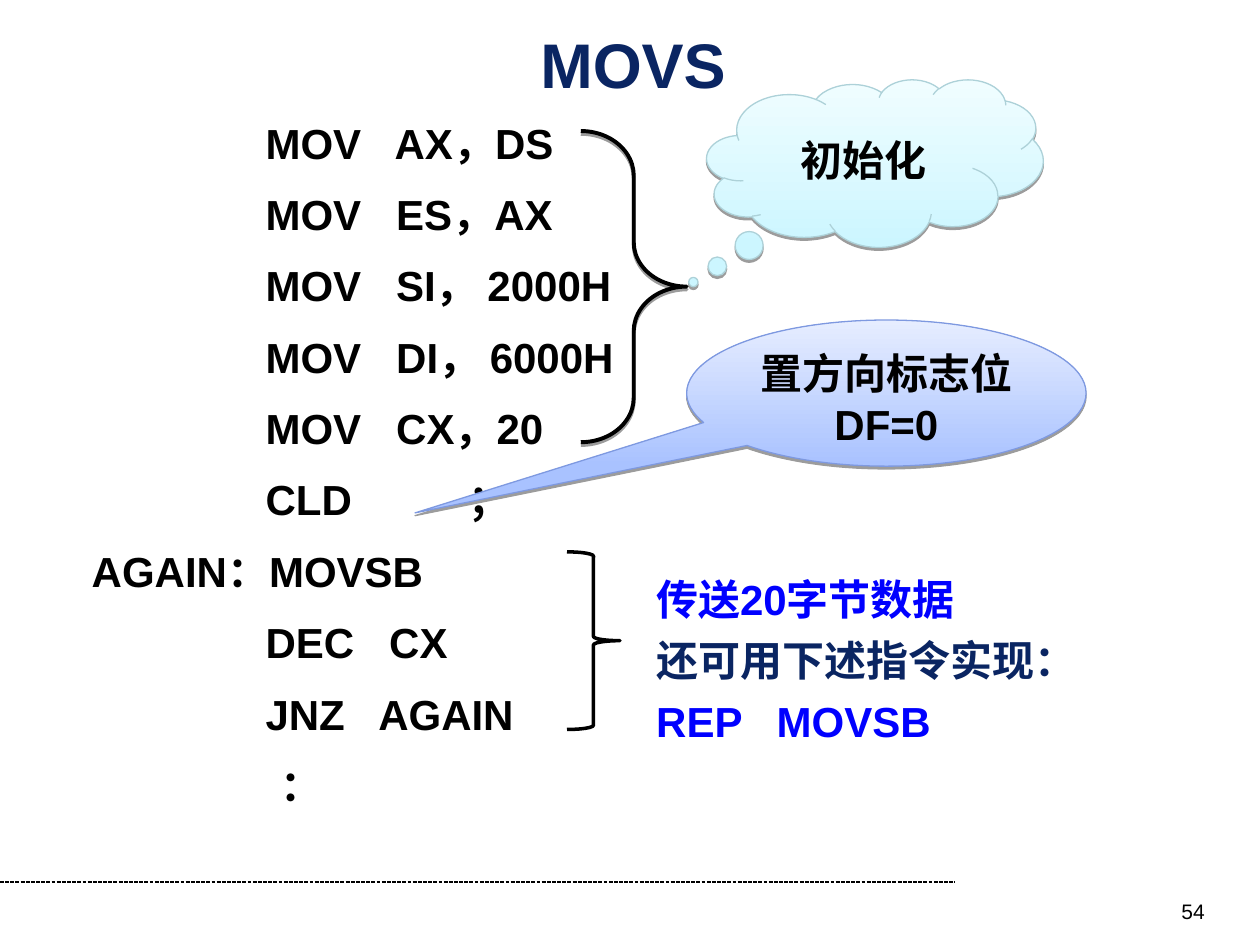
from dataclasses import dataclass

from lxml import etree
from pptx import Presentation
from pptx import util as u
from pptx.dml.color import RGBColor
from pptx.enum import dml, shapes, text
from pptx.oxml.ns import qn

Inches, Pt = u.Inches, u.Pt


@dataclass(frozen=True)
class Theme:
    font: str = "Arial"
    navy: str = "0A2562"
    blue: str = "0000FF"
    black: str = "000000"
    cloud: tuple = ("CCF6FF", "F0FDFF", "ADD1D8")  # bottom, top, outline
    bubble: tuple = ("A9C2FF", "E6EDFF", "7E99E0")
    title_size: float = 36
    body_size: float = 24
    number_size: float = 12
    line_pitch: float = 28.8


T = Theme()
INDENT = 1.38

# Code lines with their left indent in inches
CODE = [
    ("MOV   AX，DS", INDENT),
    ("MOV   ES，AX", INDENT),
    ("MOV   SI， 2000H", INDENT),
    ("MOV   DI， 6000H", INDENT),
    ("MOV   CX，20", INDENT),
    ("CLD          ；", INDENT),
    ("AGAIN：MOVSB", 0),
    ("DEC   CX", INDENT),
    ("JNZ   AGAIN", INDENT),
    ("：", 1.5),
]
NOTES = [
    ("传送20字节数据", T.blue),
    ("还可用下述指令实现：", T.navy),
    ("REP   MOVSB", T.blue),
]


def rgb(value):
    return RGBColor.from_string(value)


def inches(box):
    return [Inches(v) for v in box]


def style(p, size, color, bold=True, align=text.PP_ALIGN.LEFT):
    p.alignment = align
    for r in p.runs:
        r.font.name = T.font
        r.font.size = Pt(size)
        r.font.bold = bold
        r.font.color.rgb = rgb(color)


def add_lines(slide, box, lines, gap):
    """Text box with one paragraph per (words, colour, indent)."""
    tf = slide.shapes.add_textbox(*inches(box)).text_frame
    tf.word_wrap = True
    for i, (words, color, indent) in enumerate(lines):
        p = tf.paragraphs[0] if i == 0 else tf.add_paragraph()
        p.text = words
        p.line_spacing = Pt(T.line_pitch)
        if i:
            p.space_before = Pt(gap)
        if indent:
            pPr = p._p.get_or_add_pPr()
            pPr.set("marL", str(Inches(indent)))
            pPr.set("indent", "0")
        style(p, T.body_size, color)


def add_shadow(sp):
    effects = sp._element.spPr.find(qn("a:effectLst"))
    shadow = etree.SubElement(effects, qn("a:outerShdw"), blurRad="0",
                              dist=str(Pt(1.6)), dir="5400000", rotWithShape="0")
    color = etree.SubElement(shadow, qn("a:srgbClr"), val=T.black)
    etree.SubElement(color, qn("a:alpha"), val="38000")


def add_brace(slide, box, curve, width, shadow=False):
    sp = slide.shapes.add_shape(shapes.MSO_SHAPE.RIGHT_BRACE, *inches(box))
    sp.adjustments[0] = curve
    sp.fill.background()
    sp.line.color.rgb = rgb(T.black)
    sp.line.width = Pt(width)
    sp.shadow.inherit = False
    if shadow:
        add_shadow(sp)


def add_callout(slide, box, kind, tip, colors, words, anchor):
    sp = slide.shapes.add_shape(kind, *inches(box))
    sp.adjustments[0], sp.adjustments[1] = tip
    bottom, top, outline = colors
    sp.fill.gradient()
    sp.fill.gradient_angle = 90
    for stop, color in zip(sp.fill.gradient_stops, (bottom, top)):
        stop.color.rgb = rgb(color)
    sp.line.color.rgb = rgb(outline)
    sp.line.width = Pt(0.75)
    sp.shadow.inherit = False
    add_shadow(sp)
    tf = sp.text_frame
    tf.word_wrap = True
    tf.vertical_anchor = anchor
    tf.text = words
    style(tf.paragraphs[0], T.body_size, T.black, align=text.PP_ALIGN.CENTER)


def add_title(slide, box, words):
    sp = slide.shapes.title
    sp.left, sp.top, sp.width, sp.height = inches(box)
    tf = sp.text_frame
    tf.text = words
    tf.vertical_anchor = text.MSO_ANCHOR.MIDDLE
    tf.margin_left = tf.margin_right = tf.margin_top = tf.margin_bottom = 0
    style(tf.paragraphs[0], T.title_size, T.navy, align=text.PP_ALIGN.CENTER)


def add_footer(slide, box, number):
    left, top, width, height = box
    rule = slide.shapes.add_connector(shapes.MSO_CONNECTOR.STRAIGHT,
                                      *inches((left, top, 7.58, top)))
    rule.line.color.rgb = rgb(T.black)
    rule.line.width = Pt(0.75)
    rule.line.dash_style = dml.MSO_LINE.SQUARE_DOT
    etree.SubElement(rule._element.spPr, qn("a:effectLst"))
    tf = slide.shapes.add_textbox(
        *inches((left + width - 2.33, top + 0.08, 2.33, height))).text_frame
    tf.word_wrap = True
    tf.text = number
    style(tf.paragraphs[0], T.number_size, T.black, bold=False,
          align=text.PP_ALIGN.RIGHT)


def add_code(slide, box):
    """Program listing with the brace and callouts that explain it."""
    left, top = box[:2]
    add_lines(slide, box, [(words, T.black, indent) for words, indent in CODE], 12)
    add_brace(slide, (left + 3.98, top + 0.16, 0.84, 2.47), 0.42, 2.25, shadow=True)
    add_callout(slide, (left + 4.98, top - 0.25, 2.67, 1.33),
                shapes.MSO_SHAPE.CLOUD_CALLOUT, (-0.54, 0.71), T.cloud,
                "初始化", text.MSO_ANCHOR.MIDDLE)
    add_callout(slide, (left + 4.82, top + 1.66, 3.17, 1.16),
                shapes.MSO_SHAPE.OVAL_CALLOUT, (-1.18, 0.82), T.bubble,
                "置方向标志位DF=0", text.MSO_ANCHOR.TOP)


def add_notes(slide, box):
    """Loop explanation with the brace to its left."""
    left, top = box[:2]
    add_brace(slide, (left - 0.61, top - 0.12, 0.42, 1.41), 0.08, 2)
    add_lines(slide, box, [(words, color, 0) for words, color in NOTES], 6)


def main():
    prs = Presentation()
    prs.slide_width, prs.slide_height = Inches(10), Inches(7.5)
    slide = prs.slides.add_slide(prs.slide_layouts[5])
    add_footer(slide, (0, 7, 9.66, 0.27), "54")
    add_title(slide, (0.5, 0.25, 9.05, 0.5), "MOVS")
    add_code(slide, (0.63, 0.88, 5, 5.6))
    add_notes(slide, (5.11, 4.5, 3.8, 1.47))
    prs.save("out.pptx")


if __name__ == "__main__":
    main()
